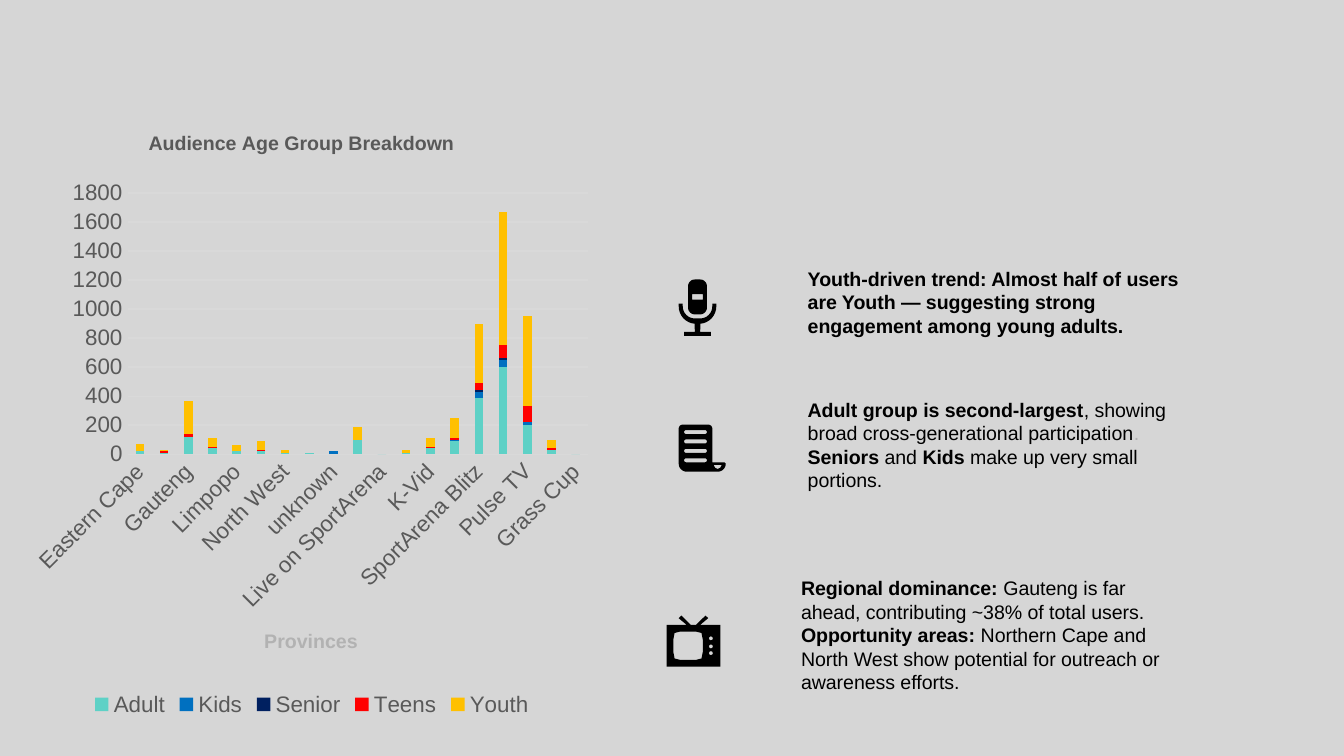
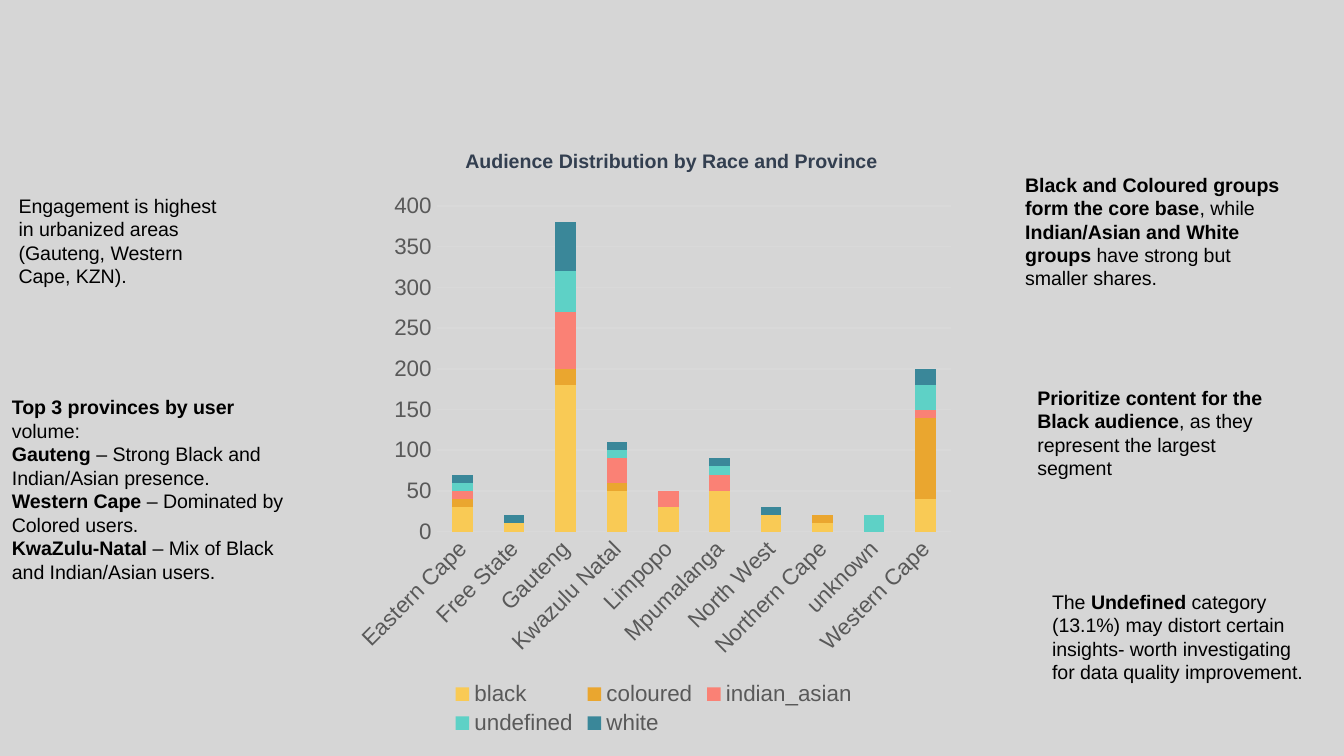
from math import cos, radians, sin

from lxml import etree
from pptx import Presentation
from pptx.chart.data import CategoryChartData
from pptx.dml.color import RGBColor
from pptx.enum.chart import XL_CHART_TYPE, XL_LEGEND_POSITION, XL_TICK_MARK
from pptx.enum.text import MSO_ANCHOR, MSO_AUTO_SIZE
from pptx.oxml.ns import qn
from pptx.util import Inches, Pt

STACKED = XL_CHART_TYPE.COLUMN_STACKED
LEGEND_BOTTOM = XL_LEGEND_POSITION.BOTTOM
NO_TICK = XL_TICK_MARK.NONE
TOP = MSO_ANCHOR.TOP
MIDDLE = MSO_ANCHOR.MIDDLE
GROW = MSO_AUTO_SIZE.SHAPE_TO_FIT_TEXT

BACKGROUND = RGBColor(0xD6, 0xD6, 0xD6)
BLACK = RGBColor(0, 0, 0)
GREY = RGBColor(0x59, 0x59, 0x59)
MUTED_GREY = RGBColor(0xB2, 0xB2, 0xB2)
GRID = RGBColor(0xD9, 0xD9, 0xD9)
SLATE = RGBColor(0x33, 0x3F, 0x50)
TURQUOISE = RGBColor(0x5E, 0xD1, 0xC6)
BLUE = RGBColor(0x00, 0x70, 0xC0)
NAVY = RGBColor(0x00, 0x20, 0x60)
RED = RGBColor(0xFF, 0x00, 0x00)
AMBER = RGBColor(0xFF, 0xC0, 0x00)
YELLOW = RGBColor(0xF9, 0xCA, 0x55)
OCHRE = RGBColor(0xEA, 0xA6, 0x2F)
CORAL = RGBColor(0xFA, 0x81, 0x75)
TEAL = RGBColor(0x3A, 0x87, 0x99)

FONT = "Arial"
PLAIN = {"name": FONT, "size": Pt(10.5), "bold": False, "color": BLACK}
BOLD = {**PLAIN, "bold": True}
MUTED = {**PLAIN, "color": MUTED_GREY}
CHART_LABEL = {**PLAIN, "size": Pt(12), "color": GREY}

PROVINCES = ["Eastern Cape", "Free State", "Gauteng", "Kwazulu Natal", "Limpopo",
             "Mpumalanga", "North West", "Northern Cape", "unknown", "Western Cape"]
CHANNELS = ["Live on SportArena", "QK", "K-Vid", "SeeNow", "SportArena Blitz",
            "SportArena Live Events", "Pulse TV", "Zavo", "Grass Cup"]

AGE_CHART = {
    "title": "Audience Age Group Breakdown", "title_color": GREY,
    "title_place": (0.21, 0.02),
    "box": (0.18, 0.85, 4.28, 4.52), "plot": (0.18, 0.13, 0.8, 0.43),
    "maximum": 1800, "step": 200, "gap": 182,
    "axis_title": "Provinces", "categories": PROVINCES + CHANNELS,
    "series": [
        ("Adult", TURQUOISE, [20, 10, 120, 40, 20, 20, 10, 10, None, 100,
                              0, 10, 40, 90, 390, 600, 200, 30, 0]),
        ("Kids", BLUE, [0, None, 0, None, None, None, None, None, 20, 0,
                        None, 0, 0, 10, 40, 50, 20, 0, None]),
        ("Senior", NAVY, [None, None, 0, None, 0, None, None, None, None, 0,
                          None, None, None, None, 10, 10, 0, None, None]),
        ("Teens", RED, [0, 10, 20, 10, 0, 10, 0, 0, None, 0,
                        None, 0, 10, 10, 50, 90, 110, 10, None]),
        ("Youth", AMBER, [50, 10, 230, 60, 40, 60, 20, 0, None, 90,
                          None, 20, 60, 140, 410, 920, 620, 60, None]),
    ],
}
RACE_CHART = {
    "title": "Audience Distribution by Race and Province", "title_color": SLATE,
    "title_place": (0.19, 0.03),
    "box": (2.56, 0.94, 4.61, 4.57), "plot": (0.15, 0.13, 0.83, 0.53),
    "maximum": 400, "step": 50, "gap": 150,
    "axis_title": None, "categories": PROVINCES,
    "series": [
        ("black", YELLOW, [30, 10, 180, 50, 30, 50, 20, 10, None, 40]),
        ("coloured", OCHRE, [10, 0, 20, 10, 0, 0, None, 10, None, 100]),
        ("indian_asian", CORAL, [10, 0, 70, 30, 20, 20, 0, None, None, 10]),
        ("undefined", TURQUOISE, [10, 0, 50, 10, 0, 10, None, 0, 20, 30]),
        ("white", TEAL, [10, 10, 60, 10, 0, 10, 10, 0, None, 20]),
    ],
}

AGE_NOTES = [
    ((5.86, 1.79, 3.31, 0.91), [
        [("Youth-driven trend: Almost half of users are Youth — suggesting strong "
          "engagement among young adults.", BOLD)]]),
    ((5.81, 3.83, 3.05, 1.79), [
        [("Regional dominance:", BOLD),
         (" Gauteng is far ahead, contributing ~38% of total users.", PLAIN)],
        [("Opportunity areas:", BOLD),
         (" Northern Cape and North West show potential for outreach or "
          "awareness efforts.", PLAIN)]]),
    ((5.86, 2.86, 2.98, 0.9), [
        [("Adult group is second-largest", BOLD),
         (", showing broad cross-generational participation", PLAIN), (".", MUTED)],
        [("Seniors", BOLD), (" and ", PLAIN), ("Kids", BOLD),
         (" make up very small portions.", PLAIN)]]),
]
RACE_NOTES = [
    ((7.62, 2.59, 2, 1.26), [
        [("Prioritize content for the Black audience", BOLD),
         (", as they represent the largest segment", PLAIN)]]),
    ((0.04, 1.16, 1.81, 1.26), [
        [("Engagement is highest in urbanized areas (Gauteng, Western Cape, KZN).", PLAIN)]]),
    ((7.53, 0.56, 2.19, 2.32), [
        [("Black and Coloured groups form the core base", BOLD), (", while ", PLAIN),
         ("Indian/Asian and White groups", BOLD),
         (" have strong but smaller shares.", PLAIN)]]),
]
GROWING_NOTES = [
    ((-0.01, 2.89, 2.35, 1.93), [
        [("Top 3 provinces by user ", BOLD), ("volume:", PLAIN)],
        [("Gauteng", BOLD), (" – Strong Black and Indian/Asian presence.", PLAIN)],
        [("Western Cape", BOLD), (" – Dominated by Colored users.", PLAIN)],
        [("KwaZulu-Natal", BOLD), (" – Mix of Black and Indian/Asian users.", PLAIN)]]),
    ((7.73, 4.34, 2.07, 1.16), [
        [("The ", PLAIN), ("Undefined", BOLD),
         (" category (13.1%) may distort certain insights- worth investigating "
          "for data quality improvement.", PLAIN)]]),
]


def set_font(font, style):
    for name, value in style.items():
        if name == "color":
            font.color.rgb = value
        else:
            setattr(font, name, value)


def add_slide(presentation):
    slide = presentation.slides.add_slide(presentation.slide_layouts[6])
    slide.background.fill.solid()
    slide.background.fill.fore_color.rgb = BACKGROUND
    return slide


def add_note(slide, box, paragraphs, side=0.1, edge=0.1, anchor=MIDDLE, auto_size=None):
    frame = slide.shapes.add_textbox(*map(Inches, box)).text_frame
    settings = {"word_wrap": True, "vertical_anchor": anchor, "auto_size": auto_size,
                "margin_left": Inches(side), "margin_right": Inches(side),
                "margin_top": Inches(edge), "margin_bottom": Inches(edge)}
    for name, value in settings.items():
        setattr(frame, name, value)
    for index, runs in enumerate(paragraphs):
        paragraph = frame.add_paragraph() if index else frame.paragraphs[0]
        for text, style in runs:
            run = paragraph.add_run()
            run.text = text
            set_font(run.font, style)


def set_title(title, text, color):
    title.text_frame.text = text
    set_font(title.text_frame.paragraphs[0].runs[0].font, {**BOLD, "color": color})


def set_layout(element, index, place, target=()):
    for layout in element.findall(qn("c:layout")):
        element.remove(layout)
    layout = etree.Element(qn("c:layout"))
    manual = etree.SubElement(layout, qn("c:manualLayout"))
    for tag, value in [*target, ("xMode", "edge"), ("yMode", "edge"), *zip("xywh", place)]:
        etree.SubElement(manual, qn(f"c:{tag}")).set("val", str(value))
    element.insert(index, layout)


def style_line(line, color):
    line.color.rgb = color
    line.width = Pt(0.75)


def style_axes(chart, content):
    category_axis, value_axis = chart.category_axis, chart.value_axis
    for axis in (category_axis, value_axis):
        axis.major_tick_mark = axis.minor_tick_mark = NO_TICK
        set_font(axis.tick_labels.font, CHART_LABEL)
    category_axis._element.txPr.bodyPr.set("rot", "-2700000")
    style_line(category_axis.format.line, GRID)
    value_axis.format.line.fill.background()
    style_line(value_axis.major_gridlines.format.line, GRID)
    scale = {"minimum_scale": 0, "maximum_scale": content["maximum"],
             "major_unit": content["step"]}
    for name, value in scale.items():
        setattr(value_axis, name, value)
    if content["axis_title"]:
        set_title(category_axis.axis_title, content["axis_title"], MUTED_GREY)


def add_stacked_chart(slide, content):
    data = CategoryChartData()
    data.categories = content["categories"]
    for name, _, values in content["series"]:
        data.add_series(name, values)
    chart = slide.shapes.add_chart(STACKED, *map(Inches, content["box"]), data).chart
    set_font(chart.font, {**PLAIN, "size": Pt(10)})
    set_title(chart.chart_title, content["title"], content["title_color"])
    set_layout(chart.chart_title._element, 1, content["title_place"])
    chart.has_legend = True
    chart.legend.position = LEGEND_BOTTOM
    chart.legend.include_in_layout = False
    set_font(chart.legend.font, CHART_LABEL)
    plot = chart.plots[0]
    for name, value in {"gap_width": content["gap"], "overlap": 100,
                        "vary_by_categories": False}.items():
        setattr(plot, name, value)
    for series, (_, color, _) in zip(plot.series, content["series"]):
        series.format.fill.solid()
        series.format.fill.fore_color.rgb = color
    style_axes(chart, content)
    set_layout(chart._chartSpace.chart.plotArea, 0, content["plot"],
               [("layoutTarget", "inner")])


def arc(x, y, radius, start, end):
    angles = [radians(start + (end - start) * step / 8) for step in range(9)]
    return [(x + radius * cos(angle), y + radius * sin(angle)) for angle in angles]


def rounded(left, top, right, bottom, radius):
    corners = [(right - radius, bottom - radius), (left + radius, bottom - radius),
               (left + radius, top + radius), (right - radius, top + radius)]
    return [point for index, (x, y) in enumerate(corners)
            for point in arc(x, y, radius, 90 * index, 90 * index + 90)]


def mirrored(points, axis):
    return points + [(2 * axis - x, y) for x, y in reversed(points)]


def add_icon(shapes, contours):
    contours = [[(Inches(x), Inches(y)) for x, y in points] for points in contours]
    builder = shapes.build_freeform(*contours[0][0])
    for index, points in enumerate(contours):
        if index:
            builder.move_to(*points[0])
        builder.add_line_segments(points[1:], close=True)
    shape = builder.convert_to_shape()
    shape.shadow.inherit = False
    shape.fill.solid()
    shape.fill.fore_color.rgb = BLACK
    shape.line.fill.background()


def add_television(slide):
    dots = [arc(5.29, y, 0.015, 0, 360) for y in (4.75, 4.81, 4.86)]
    screen = mirrored([(5.12, 4.7), (5.06, 4.7), (5.02, 4.71), (5.01, 4.76),
                       (5.01, 4.85), (5.02, 4.9), (5.06, 4.91), (5.12, 4.91)], 5.12)
    case = mirrored([(5.14, 4.65), (5.07, 4.58), (5.05, 4.6), (5.11, 4.65),
                     (4.96, 4.65), (4.96, 4.96)], 5.16)
    add_icon(slide.shapes, [case, screen, *dots])


def add_microphone(slide):
    group = slide.shapes.add_group_shape()
    stand = mirrored([(5.08, 2.26), (5.05, 2.26), *arc(5.18, 2.28, 0.13, 180, 95),
                      (5.17, 2.47), (5.09, 2.47), (5.09, 2.5)], 5.19)
    cradle = arc(5.21, 2.28, 0.09, 0, 90) + arc(5.17, 2.28, 0.09, 90, 180)
    add_icon(group.shapes, [stand + cradle])
    slot = [(5.15, 2.19), (5.23, 2.19), (5.23, 2.23), (5.15, 2.23)]
    add_icon(group.shapes, [rounded(5.12, 2.08, 5.26, 2.34, 0.05), slot])


def add_scroll(slide):
    rows = [rounded(5.09, 3.2 + 0.07 * row, 5.26, 3.23 + 0.07 * row, 0.015)
            for row in range(4)]
    curl = [(5.37, 3.46), (5.36, 3.48), (5.34, 3.49), (5.32, 3.48), (5.31, 3.46)]
    sheet = [*arc(5.08, 3.19, 0.03, 180, 270), *arc(5.27, 3.19, 0.03, 270, 360),
             (5.3, 3.44), (5.39, 3.44), *arc(5.34, 3.45, 0.06, 0, 90),
             *arc(5.11, 3.45, 0.06, 90, 180)]
    add_icon(slide.shapes, [sheet, curl, *rows])


def main():
    presentation = Presentation()
    presentation.slide_width = Inches(10)
    presentation.slide_height = Inches(10 * 9 / 16)

    age_slide = add_slide(presentation)
    for box, paragraphs in AGE_NOTES:
        add_note(age_slide, box, paragraphs, side=0.15)
    add_television(age_slide)
    add_microphone(age_slide)
    add_scroll(age_slide)
    add_stacked_chart(age_slide, AGE_CHART)

    race_slide = add_slide(presentation)
    for box, paragraphs in RACE_NOTES:
        add_note(race_slide, box, paragraphs)
    add_stacked_chart(race_slide, RACE_CHART)
    for box, paragraphs in GROWING_NOTES:
        add_note(race_slide, box, paragraphs, edge=0.05, anchor=TOP, auto_size=GROW)

    presentation.save("out.pptx")


if __name__ == "__main__":
    main()
